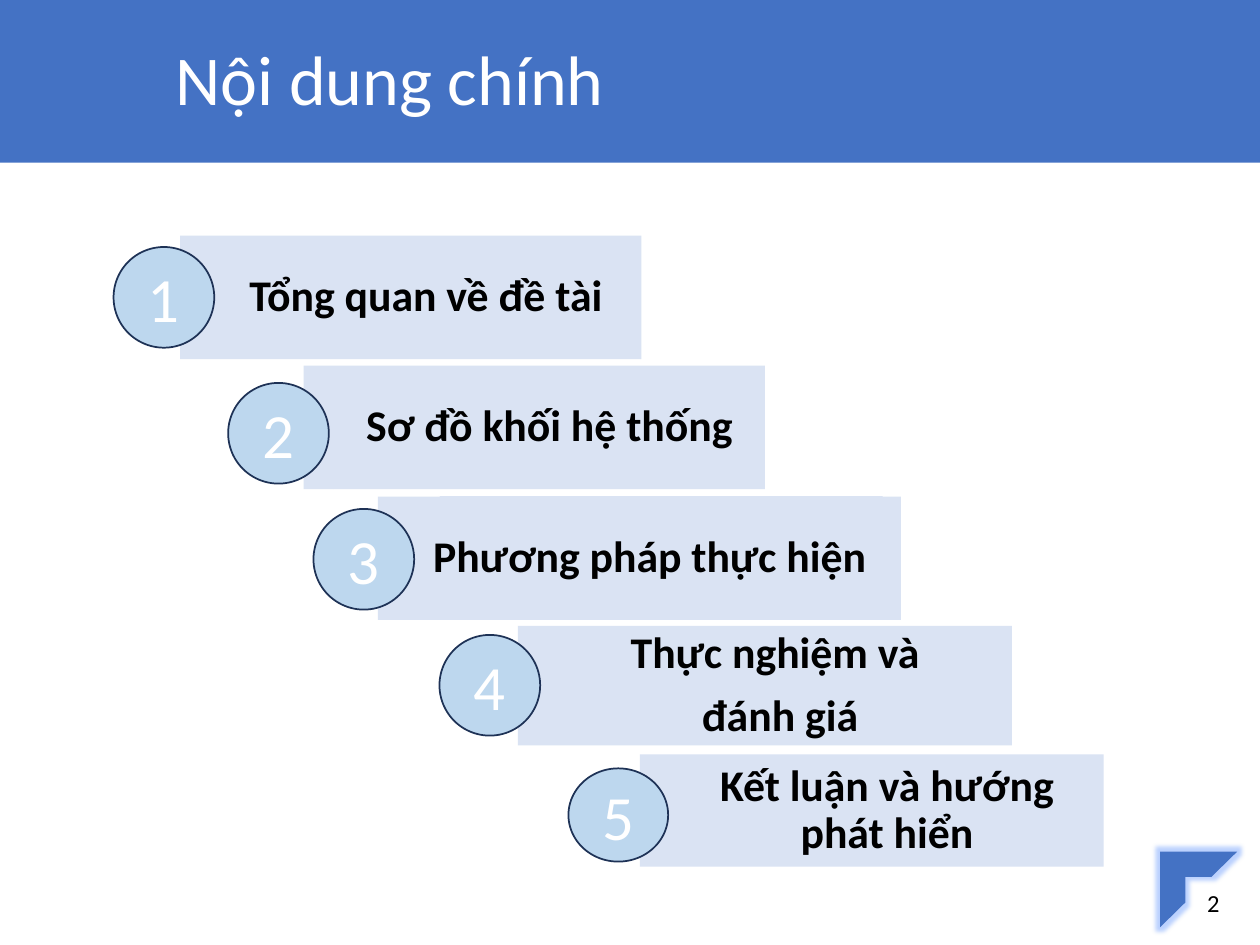
from dataclasses import dataclass

from lxml.etree import SubElement
from pptx import Presentation
from pptx.dml.color import RGBColor
from pptx.enum.shapes import MSO_SHAPE
from pptx.enum.text import MSO_ANCHOR, MSO_AUTO_SIZE, PP_ALIGN
from pptx.oxml.ns import qn
from pptx.util import Cm, Pt

TITLE = "Nội dung chính"
PAGE_NUMBER = "2"

# Each box and disc is (left, top, width, height) in centimetres.
SECTIONS = [
    {"lines": ["Tổng quan về đề tài"], "box": (3.63, 4.75, 9.3, 2.49),
     "plate": (3, 4.75, 9.91, 2.49), "disc": (2.29, 4.98, 2.03, 2.03)},
    {"lines": ["Sơ đồ khối hệ thống"], "box": (6.12, 7.37, 9.3, 2.49),
     "plate": (5.49, 7.37, 9.91, 2.49), "disc": (4.6, 7.72, 2.03, 2.03)},
    {"lines": ["Phương pháp thực hiện "], "box": (7.62, 10.01, 10.54, 2.49),
     "plate": (7.62, 9.98, 10.19, 2.49), "disc": (6.32, 10.26, 2.03, 2.03)},
    {"lines": ["Thực nghiệm và ", "đánh giá"], "box": (10.44, 12.62, 9.96, 2.41),
     "plate": None, "disc": (8.86, 12.8, 2.03, 2.03)},
    {"lines": ["Kết luận và hướng phát hiển"], "box": (12.9, 15.21, 9.35, 2.26),
     "plate": (12.27, 15.21, 9.96, 2.26), "disc": (11.46, 15.49, 2.01, 1.88)},
]


@dataclass(frozen=True)
class Theme:
    font: str = "Calibri"
    accent: str = "4472C4"
    glow: str = "8FB4FF"
    box: str = "DAE3F3"
    disc: str = "BDD7EE"
    outline: str = "1E3256"
    white: str = "FFFFFF"
    black: str = "000000"
    title_size: int = 40
    number_size: int = 36
    section_size: int = 25
    page_size: int = 14


THEME = Theme()


def place(shape, box):
    shape.left, shape.top, shape.width, shape.height = map(Cm, box)


def add_shape(shapes, kind, box, fill, line=None):
    shape = shapes.add_shape(kind, *map(Cm, box))
    shape.shadow.inherit = False
    shape.fill.solid()
    shape.fill.fore_color.rgb = RGBColor.from_string(fill)
    if line:
        shape.line.color.rgb = RGBColor.from_string(line)
        shape.line.width = Pt(1)
    else:
        shape.line.fill.background()
    return shape


def write(shape, lines, size, color, align=PP_ALIGN.CENTER, bold=False,
          line_spacing=None, space_after=None):
    frame = shape.text_frame
    frame.word_wrap = True
    frame.auto_size = MSO_AUTO_SIZE.NONE
    frame.vertical_anchor = MSO_ANCHOR.MIDDLE
    frame.text = "\n".join(lines)
    for paragraph in frame.paragraphs:
        paragraph.alignment = align
        paragraph.line_spacing = line_spacing
        paragraph.space_after = space_after
        font = paragraph.font
        font.name, font.size, font.bold = THEME.font, Pt(size), bold
        font.color.rgb = RGBColor.from_string(color)


def add_glow(shape, color, radius):
    effects = shape._element.spPr.find(qn("a:effectLst"))
    glow = SubElement(effects, qn("a:glow"), rad=str(radius))
    tint = SubElement(glow, qn("a:srgbClr"), val=color)
    SubElement(tint, qn("a:alpha"), val="60000")


def add_section(slide, section):
    plate = section["plate"]
    shapes = slide.shapes
    if plate:
        shapes = slide.shapes.add_group_shape().shapes
        add_shape(shapes, MSO_SHAPE.PENTAGON, plate, THEME.box, THEME.white).rotation = 180
    box = add_shape(shapes, MSO_SHAPE.RECTANGLE, section["box"], THEME.box)
    frame = box.text_frame
    frame.margin_left, frame.margin_right = Cm(1.09), Cm(0.48)
    frame.margin_top = frame.margin_bottom = Cm(0.25)
    write(box, section["lines"], THEME.section_size, THEME.black, bold=True,
          line_spacing=0.9, space_after=Pt(0.35 * THEME.section_size))


def main():
    presentation = Presentation()
    presentation.slide_width, presentation.slide_height = Cm(25.4), Cm(19.05)
    slide = presentation.slides.add_slide(presentation.slide_layouts[5])

    title = slide.shapes.title
    band = add_shape(slide.shapes, MSO_SHAPE.RECTANGLE, (0, 0, 25.4, 3.28), THEME.accent)
    title._element.addprevious(band._element)
    place(title, (3.28, 0.03, 15.42, 3.28))
    write(title, [TITLE], THEME.title_size, THEME.white, PP_ALIGN.LEFT, line_spacing=0.9)

    corner = add_shape(slide.shapes, MSO_SHAPE.HALF_FRAME, (23.39, 17.17, 1.55, 1.52),
                       THEME.accent)
    add_glow(corner, THEME.glow, Pt(5))
    page = slide.shapes.add_textbox(*map(Cm, (23.52, 17.68, 1.88, 1.02)))
    write(page, [PAGE_NUMBER], THEME.page_size, THEME.black)

    for section in SECTIONS:
        add_section(slide, section)
    for number, section in enumerate(SECTIONS, 1):
        disc = add_shape(slide.shapes, MSO_SHAPE.OVAL, section["disc"], THEME.disc,
                         THEME.outline)
        write(disc, [str(number)], THEME.number_size, THEME.white)

    presentation.save("out.pptx")


if __name__ == "__main__":
    main()
